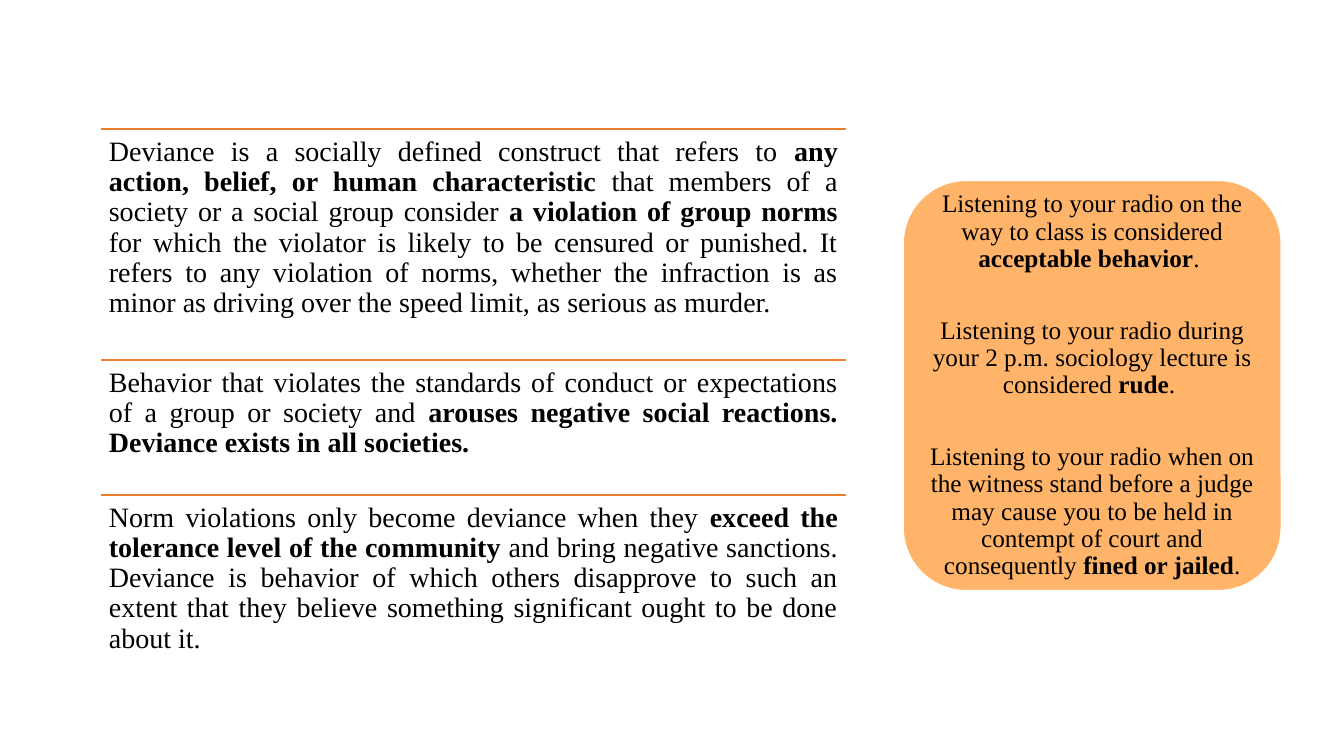
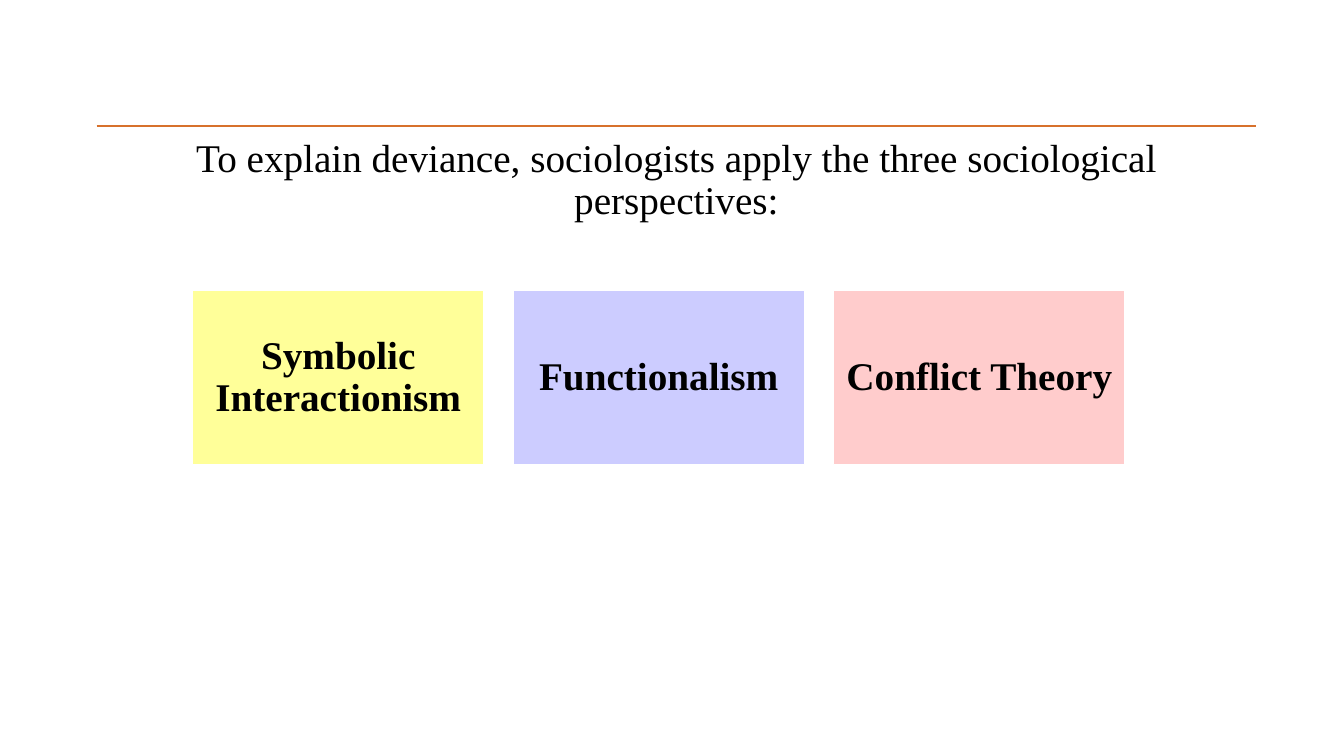
from pptx import Presentation
from pptx.dml.color import RGBColor
from pptx.enum.shapes import MSO_CONNECTOR, MSO_SHAPE
from pptx.enum.text import MSO_ANCHOR, PP_ALIGN
from pptx.oxml.ns import qn
from pptx.util import Inches, Pt
from lxml.etree import SubElement

# Shared style
WIDE, HIGH = Inches(13.33), Inches(7.5)
FONT = "Times New Roman"
BLACK = RGBColor(0x00, 0x00, 0x00)
WHITE = RGBColor(0xFF, 0xFF, 0xFF)
ORANGE = RGBColor(0xED, 0x7D, 0x31)
RUST = RGBColor(0xD7, 0x71, 0x2C)
PEACH = RGBColor(0xFF, 0xB4, 0x69)
YELLOW = RGBColor(0xFF, 0xFF, 0x99)
LILAC = RGBColor(0xCC, 0xCC, 0xFF)
PINK = RGBColor(0xFF, 0xCC, 0xCC)

# Text between ** marks is bold
POINTS = [
    (30.53, "Deviance is a socially defined construct that refers to **any action, "
            "belief, or human characteristic **that members of a society or a social "
            "group consider **a violation of group norms **for which the violator is "
            "likely to be censured or punished. It refers to any violation of norms, "
            "whether the infraction is as minor as driving over the speed limit, as "
            "serious as murder. "),
    (17.87, "Behavior that violates the standards of conduct or expectations of a "
            "group or society and **arouses negative social reactions. Deviance "
            "exists in all societies.**"),
    (18.53, "Norm violations only become deviance when they **exceed the tolerance "
            "level of the community **and bring negative sanctions. Deviance is "
            "behavior of which others disapprove to such an extent that they believe "
            "something significant ought to be done about it."),
]
CASES = [
    "Listening to your radio on the way to class is considered "
    "**acceptable behavior**. ",
    "Listening to your radio during your 2 p.m. sociology lecture is considered "
    "**rude**. ",
    "Listening to your radio when on the witness stand before a judge may cause you "
    "to be held in contempt of court and consequently **fined or jailed**.",
]
VIEWS = [("**Symbolic Interactionism**", YELLOW), ("**Functionalism**", LILAC),
         ("**Conflict Theory**", PINK)]


def place(x, y, w, h):
    """Turn percentages of the slide into lengths."""
    return [int(part * side / 100)
            for part, side in zip((x, y, w, h), (WIDE, HIGH) * 2)]


def write(shape, texts, size, inset, align, anchor=MSO_ANCHOR.TOP, gap=0):
    frame = shape.text_frame
    frame.word_wrap = True
    frame.vertical_anchor = anchor
    frame.margin_left = frame.margin_right = Inches(inset)
    frame.margin_top = frame.margin_bottom = Inches(inset)
    for i, text in enumerate(texts):
        para = frame.add_paragraph() if i else frame.paragraphs[0]
        para.alignment = align
        para.line_spacing = 0.9
        para.space_before = Pt(gap if i else 0)
        para.font.name, para.font.size = FONT, Pt(size)
        para.font.color.rgb = BLACK
        for j, part in enumerate(text.split("**")):
            if part:
                run = para.add_run()
                run.text = part
                run.font.bold = j % 2 == 1


def rule(slide, x, y, w, color):
    left, top, width, _ = place(x, y, w, 0)
    line = slide.shapes.add_connector(
        MSO_CONNECTOR.STRAIGHT, left, top, left + width, top)
    line.line.color.rgb = color
    line.line.width = Pt(1)
    SubElement(line._element.spPr, qn("a:effectLst"))


def topic(slide, box, text, color, **style):
    """Text that hangs below a rule."""
    rule(slide, *box[:3], color)
    write(slide.shapes.add_textbox(*place(*box)), [text], **style)


def card(slide, kind, box, texts, fill, **style):
    shape = slide.shapes.add_shape(kind, *place(*box))
    shape.shadow.inherit = False
    shape.fill.solid()
    shape.fill.fore_color.rgb = fill
    shape.line.color.rgb = WHITE
    shape.line.width = Pt(1)
    write(shape, texts, align=PP_ALIGN.CENTER, anchor=MSO_ANCHOR.MIDDLE, **style)


def define(slide):
    # Stacked definitions
    top = 17.07
    for high, text in POINTS:
        topic(slide, (7.5, top, 55.44, high), text, ORANGE,
              size=20, inset=0.08, align=PP_ALIGN.JUSTIFY)
        top += high
    # Examples
    card(slide, MSO_SHAPE.ROUNDED_RECTANGLE, (67.2, 23.87, 28.13, 54.27),
         CASES, PEACH, size=18, inset=0.07, gap=32)


def explain(slide):
    # Lead sentence
    topic(slide, (7.2, 16.67, 86.25, 11.73),
          "To explain deviance, sociologists apply the three sociological "
          "perspectives:", RUST, size=28, inset=0.12, align=PP_ALIGN.CENTER)
    # Row of cards, a tenth of a card apart
    wide = 21.68
    for i, (name, fill) in enumerate(VIEWS):
        card(slide, MSO_SHAPE.RECTANGLE, (14.33 + i * wide * 1.1, 38.4, wide, 23.07),
             [name], fill, size=28, inset=0.12)


def main():
    deck = Presentation()
    deck.slide_width, deck.slide_height = WIDE, HIGH
    for build in (define, explain):
        build(deck.slides.add_slide(deck.slide_layouts[6]))
    deck.save("out.pptx")


if __name__ == "__main__":
    main()
